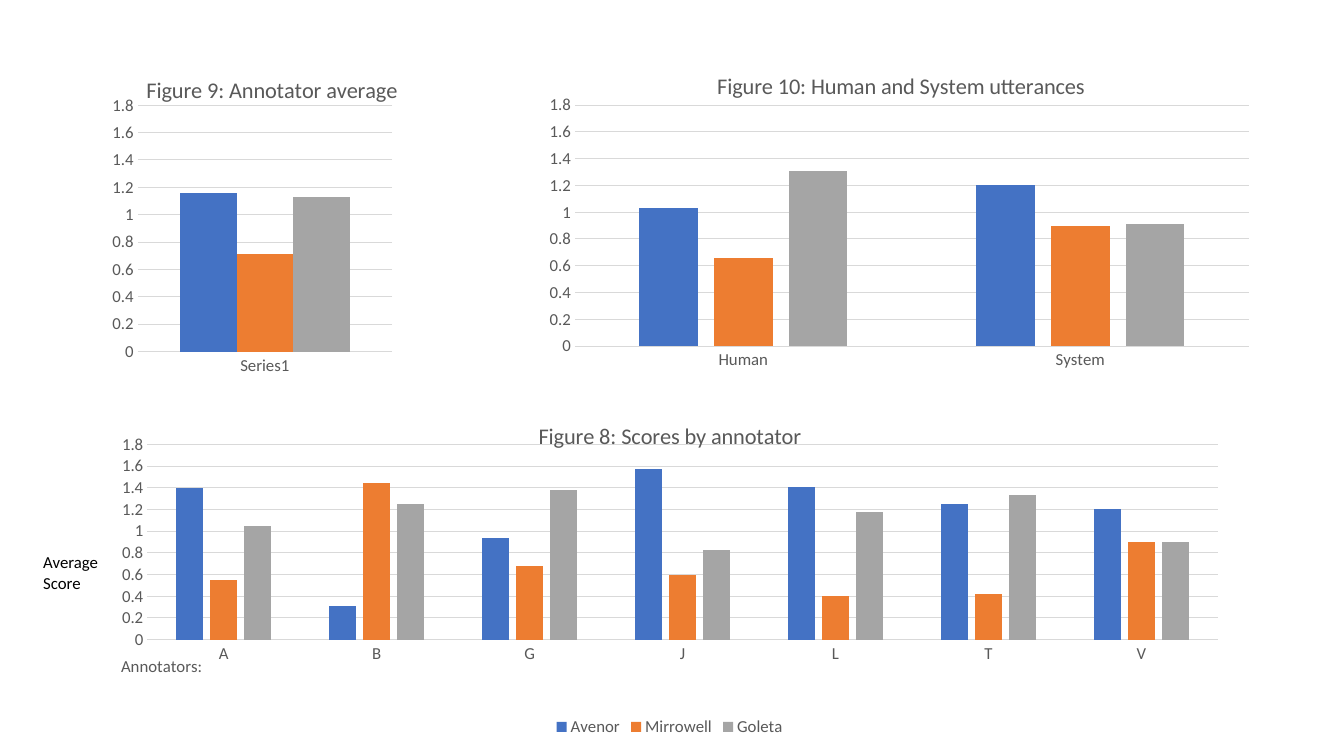
from lxml.etree import SubElement
from pptx import Presentation
from pptx.chart.data import CategoryChartData
from pptx.dml.color import RGBColor
from pptx.enum.chart import XL_CHART_TYPE, XL_LEGEND_POSITION, XL_TICK_MARK
from pptx.enum.text import MSO_AUTO_SIZE
from pptx.oxml.ns import qn
from pptx.util import Cm, Pt

GREY, RULE = "595959", "D9D9D9"
SERIES_COLOURS = ["4472C4", "ED7D31", "A5A5A5"]
PLAIN_NAMES = ["Series 1", "Series 2", "Series 3"]


def colour(value):
    return RGBColor.from_string(value)


def style_font(font, size=12, fill=GREY, name="Calibri"):
    font.size, font.name, font.bold = Pt(size), name, False
    font.color.rgb = colour(fill)


def write(frame, text, **style):
    """Put text in a frame, one paragraph per line."""
    for number, line in enumerate(text.split("\n")):
        para = frame.paragraphs[0] if number == 0 else frame.add_paragraph()
        span = para.add_run()
        span.text = line
        style_font(span.font, **style)


def place(parent, index, fractions, inner=False):
    """Set a manual layout (x, y and optionally w, h) as fractions of the chart."""
    for old in parent.findall(qn("c:layout")):
        parent.remove(old)
    layout = parent.makeelement(qn("c:layout"))
    parent.insert(index, layout)
    manual = SubElement(layout, qn("c:manualLayout"))
    settings = [("layoutTarget", "inner")] if inner else []
    settings += [("xMode", "edge"), ("yMode", "edge")]
    settings += zip("xywh", fractions)
    for tag, value in settings:
        SubElement(manual, qn(f"c:{tag}")).set("val", str(value))


class ChartPage:
    def __init__(self, deck):
        self.page = deck.slides.add_slide(deck.slide_layouts[6])

    def label(self, text, left, top, width, height):
        box = self.page.shapes.add_textbox(Cm(left), Cm(top), Cm(width), Cm(height))
        box.text_frame.word_wrap = False
        box.text_frame.auto_size = MSO_AUTO_SIZE.SHAPE_TO_FIT_TEXT
        write(box.text_frame, text, fill="000000")

    def columns(self, title, title_at, area, plot_at, categories, names, rows,
                gap=219, overlap=-27):
        data = CategoryChartData()
        data.categories = categories
        for name, values in zip(names, rows):
            data.add_series(name, values)
        chart = self.page.shapes.add_chart(
            XL_CHART_TYPE.COLUMN_CLUSTERED, *map(Cm, area), data).chart
        style_font(chart.font)
        chart.has_legend = False

        # Title and plot area
        chart.has_title = True
        write(chart.chart_title.text_frame, title, size=16)
        place(chart.chart_title.element, 1, title_at)
        place(chart.element.find(".//" + qn("c:plotArea")), 0, plot_at, inner=True)

        # Axes
        for axis in (chart.category_axis, chart.value_axis):
            axis.major_tick_mark = axis.minor_tick_mark = XL_TICK_MARK.NONE
            style_font(axis.tick_labels.font)
        scale = chart.value_axis
        scale.minimum_scale, scale.maximum_scale, scale.major_unit = 0, 1.8, 0.2
        scale.format.line.fill.background()
        scale.has_major_gridlines = True
        for line in (chart.category_axis.format.line, scale.major_gridlines.format.line):
            line.color.rgb = colour(RULE)
            line.width = Pt(0.75)

        # Columns
        plot = chart.plots[0]
        plot.vary_by_categories = False
        plot.gap_width, plot.overlap = gap, overlap
        for series, fill in zip(plot.series, SERIES_COLOURS):
            series.format.fill.solid()
            series.format.fill.fore_color.rgb = colour(fill)
        return chart

    def category_title(self, chart, text, position):
        title = chart.category_axis.axis_title
        write(title.text_frame, text)
        place(title.element, 1, position)

    def legend(self, chart):
        chart.has_legend = True
        chart.legend.position = XL_LEGEND_POSITION.BOTTOM
        chart.legend.include_in_layout = False
        style_font(chart.legend.font)


def main():
    deck = Presentation()
    deck.slide_width, deck.slide_height = Cm(33.87), Cm(19.05)
    page = ChartPage(deck)

    # Overall averages
    page.columns("Figure 9: Annotator average", (0.17, 0.08),
                 (1.9, 1.02, 9.93, 9.55), (0.158, 0.171, 0.646, 0.65),
                 ["Series1"], PLAIN_NAMES, [[1.16], [0.71], [1.13]],
                 gap=150, overlap=0)

    # Scores of each annotator
    scores = page.columns("Figure 8: Scores by annotator", (0.38, 0.09),
                          (2.69, 9.7, 28.37, 8.97), (0.036, 0.167, 0.951, 0.549),
                          list("ABGJLTV"), ["Avenor", "Mirrowell", "Goleta"],
                          [[1.4, 0.31, 0.94, 1.57, 1.41, 1.25, 1.2],
                           [0.55, 1.44, 0.68, 0.6, 0.4, 0.42, 0.9],
                           [1.05, 1.25, 1.38, 0.83, 1.18, 1.33, 0.9]])
    page.category_title(scores, "Annotators:", (0.01, 0.75))
    page.legend(scores)

    # Human against system
    page.columns("Figure 10: Human and System utterances", (0.25, 0.07),
                 (13.34, 1.07, 18.52, 8.64), (0.062, 0.183, 0.917, 0.703),
                 ["Human", "System"], PLAIN_NAMES,
                 [[1.03, 1.2], [0.66, 0.9], [1.31, 0.91]])

    # Value axis caption
    page.label("Average\nScore", 0.84, 13.79, 2.01, 1.27)

    deck.save("out.pptx")


if __name__ == "__main__":
    main()
